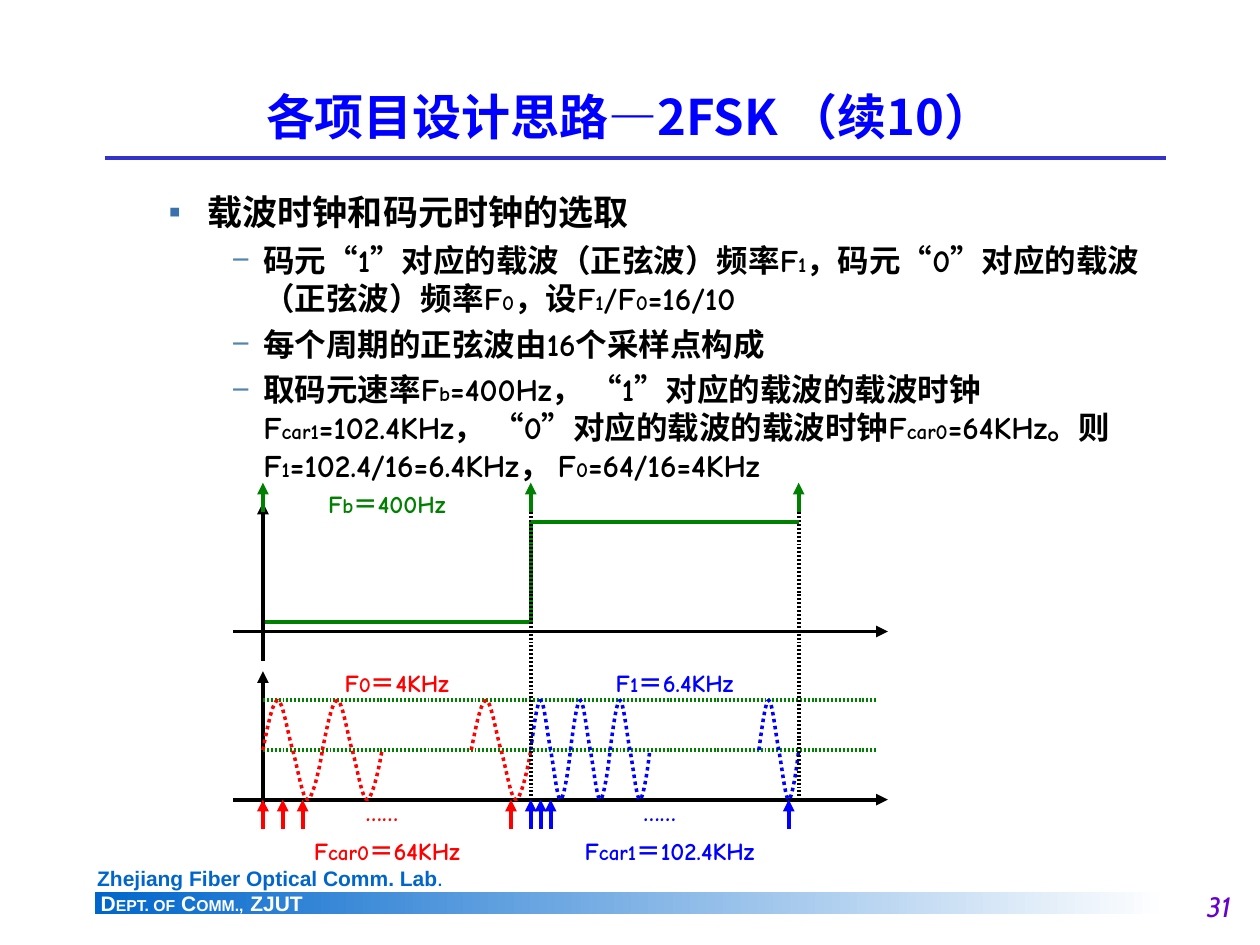
from dataclasses import dataclass

from lxml import etree
from pptx import Presentation
from pptx import util as u
from pptx.dml.color import RGBColor
from pptx.enum import dml, shapes, text
from pptx.oxml.ns import qn

WAVE_CURVES = [
    ((1 / 12, 0.25), (1 / 6, 0), (0.25, 0)),
    ((1 / 3, 0), (5 / 12, 0.33), (0.5, 0.5)),
    ((7 / 12, 0.67), (2 / 3, 1), (0.75, 1)),
    ((5 / 6, 1), (0.96, 0.67), (1, 0.5)),
]


@dataclass(frozen=True)
class Theme:
    blue: str = "0000FF"
    red: str = "FF0000"
    green: str = "008000"
    black: str = "000000"
    white: str = "FFFFFF"
    rule: str = "3333CC"
    footer: str = "0066CC"
    number: str = "6600CC"
    bullet: str = "3971AF"
    dash: str = "5486AC"
    heading_font: str = "Noto Sans CJK SC"
    body_font: str = "Comic Neue"
    footer_font: str = "Arial"
    number_font: str = "Cabin"
    title_size: int = 28
    topic_size: int = 20
    point_size: int = 18
    number_size: int = 16
    label_size: int = 14
    small_size: int = 12
    tiny_size: int = 9
    line: float = 2.25
    wave: float = 2


class SlideBuilder:
    def __init__(self, slide, theme):
        self.slide = slide
        self.theme = theme

    def runs(self, paragraph, pieces, font, color, bold=True, italic=False, east_asian=None):
        for words, size in pieces:
            run = paragraph.add_run()
            run.text = words
            run.font.name = font
            run.font.size = u.Pt(size)
            run.font.bold = bold
            run.font.italic = italic
            run.font.color.rgb = RGBColor.from_string(color)
            etree.SubElement(run.font._element, qn("a:ea")).set("typeface", east_asian or font)

    def subscripted(self, pieces, size):
        return [(words, self.theme.small_size if index % 2 else size)
                for index, words in enumerate(pieces)]

    def box(self, left, top, width, height, wrap=True, inset=(0.25, 0.13)):
        shape = self.slide.shapes.add_textbox(
            u.Cm(left), u.Cm(top), u.Cm(width), u.Cm(height))
        frame = shape.text_frame
        frame.word_wrap = wrap
        frame.margin_left = frame.margin_right = u.Cm(inset[0])
        frame.margin_top = frame.margin_bottom = u.Cm(inset[1])
        return frame

    def text(self, place, pieces, font, color, align=text.PP_ALIGN.LEFT,
             wrap=True, bold=True, italic=False, anchor=text.MSO_ANCHOR.TOP):
        frame = self.box(*place, wrap=wrap)
        frame.vertical_anchor = anchor
        paragraph = frame.paragraphs[0]
        paragraph.alignment = align
        self.runs(paragraph, pieces, font, color, bold, italic)

    def label(self, left, top, width, color, *pieces):
        self.text((left, top, width, 0.86),
                  self.subscripted(pieces, self.theme.label_size),
                  self.theme.body_font, color, text.PP_ALIGN.CENTER)

    def bullet(self, paragraph, level, mark, color, left, hanging, space, pieces, size):
        paragraph.level = level
        properties = paragraph._p.get_or_add_pPr()
        properties.set("marL", str(u.Cm(left)))
        properties.set("indent", str(-u.Cm(hanging)))
        bullet_color = etree.SubElement(properties, qn("a:buClr"))
        etree.SubElement(bullet_color, qn("a:srgbClr")).set("val", color)
        etree.SubElement(properties, qn("a:buFont")).set("typeface", self.theme.footer_font)
        etree.SubElement(properties, qn("a:buChar")).set("char", mark)
        paragraph.space_before = u.Pt(space)
        paragraph.line_spacing = u.Pt(round(size * 1.205, 1))
        self.runs(paragraph, self.subscripted(pieces, size), self.theme.body_font,
                  self.theme.black, east_asian=self.theme.heading_font)

    def line(self, x1, y1, x2, y2, color, dotted=False, arrow=None):
        connector = self.slide.shapes.add_connector(
            shapes.MSO_CONNECTOR.STRAIGHT, u.Cm(x1), u.Cm(y1), u.Cm(x2), u.Cm(y2))
        connector.line.width = u.Pt(self.theme.line)
        connector.line.color.rgb = RGBColor.from_string(color)
        outline = connector.line._get_or_add_ln()
        if dotted:
            dashes = etree.SubElement(outline, qn("a:custDash"))
            dash = etree.SubElement(dashes, qn("a:ds"))
            dash.set("d", "50000")
            dash.set("sp", "50000")
        if arrow:
            etree.SubElement(outline, qn(f"a:{arrow}End")).set("type", "triangle")
        etree.SubElement(connector._element.spPr, qn("a:effectLst"))

    def wave(self, left, middle, period, amplitude, color):
        width, height = u.Cm(period), u.Cm(2 * amplitude)
        x, y = u.Cm(left), u.Cm(middle - amplitude)
        builder = self.slide.shapes.build_freeform(x, y + height // 2)
        builder.add_line_segments(
            [(x + round(end[0] * width), y + round(end[1] * height))
             for _, _, end in WAVE_CURVES], close=False)
        shape = builder.convert_to_shape()
        segments = list(shape._element.iter(qn("a:lnTo")))
        for segment, curve in zip(segments, WAVE_CURVES):
            bezier = etree.Element(qn("a:cubicBezTo"))
            for across, down in curve:
                point = etree.SubElement(bezier, qn("a:pt"))
                point.set("x", str(round(across * width)))
                point.set("y", str(round(down * height)))
            segment.getparent().replace(segment, bezier)
        shape.shadow.inherit = False
        shape.fill.background()
        shape.line.width = u.Pt(self.theme.wave)
        shape.line.color.rgb = RGBColor.from_string(color)
        shape.line.dash_style = dml.MSO_LINE.ROUND_DOT

    def gradient_bar(self, left, top, width, height, colors):
        shape = self.slide.shapes.add_shape(
            shapes.MSO_SHAPE.RECTANGLE, u.Cm(left), u.Cm(top), u.Cm(width), u.Cm(height))
        shape.shadow.inherit = False
        shape.line.fill.background()
        shape.fill.gradient()
        shape.fill.gradient_angle = 0
        for stop, color in zip(shape.fill.gradient_stops, colors):
            stop.color.rgb = RGBColor.from_string(color)


def add_frame(builder, theme):
    builder.line(2.11, 3.18, 23.5, 3.18, theme.rule)
    builder.text((21.17, 17.81, 3.89, 1.02), [("31", theme.number_size)],
                 theme.number_font, theme.number, text.PP_ALIGN.RIGHT,
                 bold=False, italic=True)
    big, tiny = theme.small_size, theme.tiny_size
    builder.text((1.71, 17.32, 7.47, 0.76),
                 [("Zhejiang Fiber Optical Comm. Lab", big), (".", tiny)],
                 theme.footer_font, theme.footer, wrap=False)
    builder.gradient_bar(1.91, 17.99, 21.62, 0.43, (theme.footer, theme.white))
    builder.text((1.78, 17.75, 4.62, 0.86),
                 [("D", big), ("EPT. OF", tiny), (" C", big), ("OMM.,", tiny),
                  (" ", theme.label_size), ("ZJUT", big)],
                 theme.footer_font, theme.white, wrap=False)
    builder.text((1.9, 1.48, 21.59, 1.7),
                 [("各项目设计思路—2FSK （续10）", theme.title_size)],
                 theme.heading_font, theme.blue, text.PP_ALIGN.CENTER,
                 anchor=text.MSO_ANCHOR.MIDDLE)


def add_points(builder, theme):
    frame = builder.box(1.9, 3.73, 21.56, 12.95, inset=(0.23, 0.11))
    builder.bullet(frame.paragraphs[0], 1, "▪", theme.bullet, 2.06, 0.79, 0,
                   ["载波时钟和码元时钟的选取"], theme.topic_size)
    points = [
        ["码元“1”对应的载波（正弦波）频率F", "1", "，码元“0”对应的载波（正弦波）频率F",
         "0", "，设F", "1", "/F", "0", "=16/10"],
        ["每个周期的正弦波由16个采样点构成"],
        ["取码元速率F", "b", "=400Hz， “1”对应的载波的载波时钟F", "car1",
         "=102.4KHz， “0”对应的载波的载波时钟F", "car0", "=64KHz。则F", "1",
         "=102.4/16=6.4KHz， F", "0", "=64/16=4KHz"],
    ]
    for pieces in points:
        builder.bullet(frame.add_paragraph(), 2, "−", theme.dash, 3.18, 0.64, 4.5,
                       pieces, theme.point_size)


def add_timing(builder, theme):
    start, symbol = 5.3, 5.4
    middle_edge, end = start + symbol, start + 2 * symbol
    low, high, clock_top = 12.53, 10.52, 9.73
    zero, amplitude = 15.12, 1
    base = zero + amplitude

    builder.line(start, low, middle_edge, low, theme.green)
    builder.line(middle_edge, high, middle_edge, low, theme.green)
    for axis, top, bottom in ((12.73, 10.13, 13.33), (base, 13.53, base + 0.6)):
        builder.line(start, top, start, bottom, theme.black, arrow="head")
        builder.line(4.7, axis, 17.9, axis, theme.black, arrow="tail")
    for level in (zero, zero - amplitude):
        builder.line(start, level, 17.7, level, theme.green, dotted=True)

    carriers = [
        (theme.red, start, 1.2, (0, 1, 3.5), 0.4),
        (theme.blue, middle_edge, 0.8, (0, 1, 2, 5.75), 0.2),
    ]
    for color, left, period, cycles, sample in carriers:
        for cycle in cycles:
            builder.wave(left + cycle * period, zero, period, amplitude, color)
        for offset in (0, sample, 2 * sample, symbol - sample):
            x = left + offset
            builder.line(x, base + 0.6, x, base, color, arrow="tail")

    for edge in (middle_edge, end):
        builder.line(edge, 9.93, edge, base, theme.black, dotted=True)
    builder.line(middle_edge, high, end, high, theme.green)
    for edge in (start, middle_edge, end):
        builder.line(edge, clock_top + 0.6, edge, clock_top, theme.green, arrow="tail")

    builder.label(6.1, clock_top, 3.4, theme.green, "F", "b", "＝400Hz")
    builder.label(6.1, 13.33, 3.8, theme.red, "F", "0", "＝4KHz")
    builder.label(11.3, 13.33, 4.6, theme.blue, "F", "1", "＝6.4KHz")
    builder.label(5.9, 16.73, 3.8, theme.red, "F", "car0", "＝64KHz")
    builder.label(11.1, 16.73, 4.8, theme.blue, "F", "car1", "＝102.4KHz")
    builder.label(5.3, 15.93, 4.8, theme.red, "……")
    builder.label(10.9, 15.93, 4.8, theme.blue, "……")


def main():
    presentation = Presentation()
    presentation.slide_width = u.Cm(25.4)
    presentation.slide_height = u.Cm(19.05)
    slide = presentation.slides.add_slide(presentation.slide_layouts[6])
    theme = Theme()
    builder = SlideBuilder(slide, theme)
    add_frame(builder, theme)
    add_points(builder, theme)
    add_timing(builder, theme)
    presentation.save("out.pptx")


if __name__ == "__main__":
    main()
